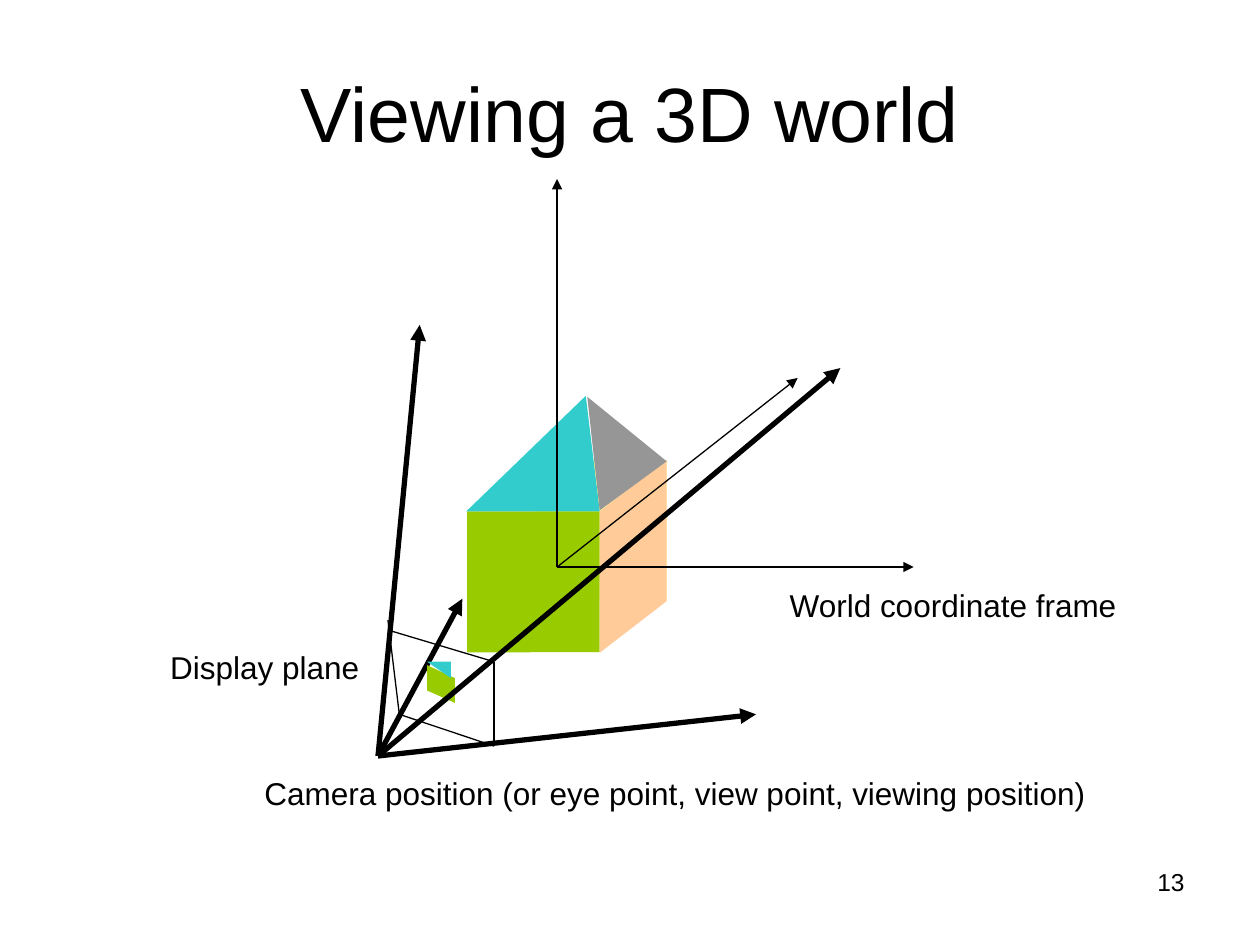
from pptx import Presentation
from pptx.dml.color import RGBColor
from pptx.enum.shapes import MSO_CONNECTOR, MSO_SHAPE
from pptx.enum.text import MSO_ANCHOR, PP_ALIGN
from pptx.oxml.ns import qn
from pptx.util import Cm, Pt
from lxml.etree import SubElement

THEME = {
    "font": "Arial", "title": 44, "label": 18, "number": 14,
    "thick": 3, "thin": 0.75,
    "ink": "000000", "cream": "FFFF99", "green": "99CC00",
    "peach": "FFCC99", "teal": "33CCCC", "gray": "969696",
}

TITLE = ("Viewing a 3D world", (1.27, 0.76, 22.86, 3.18))
LABELS = [
    ("Camera position (or eye point, view point, viewing position)",
     (5.08, 15.47, 17.07, 1.02)),
    ("Display plane", (3.18, 12.93, 4.32, 1.02)),
    ("World coordinate frame", (15.67, 11.68, 7.11, 1.02)),
]
NUMBER = ("13", (18.21, 17.35, 5.92, 1.32))

WALLS = [
    ("cream", (10.77, 9.27, 2.67, 2.84)),
    ("green", (9.42, 10.31, 2.67, 2.84)),
]
HOUSE = [
    ("peach", [(12.09, 10.31), (13.44, 9.27), (13.44, 12.12), (12.09, 13.16)]),
    ("teal", [(9.4, 10.31), (11.81, 7.98), (12.09, 10.31)]),
    ("gray", [(12.09, 10.29), (11.84, 8), (13.44, 9.3)]),
]
IMAGE = [
    ("green", [(8.61, 13.41), (9.17, 13.67), (9.17, 14.17), (8.61, 13.92)]),
    ("teal", [(8.61, 13.34), (9.09, 13.34), (9.09, 13.67)]),
]

CAMERA = (7.62, 15.24)
AXES = [(8.46, 6.55), (15.24, 14.4), (9.32, 12.07)]
SIGHT = (16.94, 7.42)
PLANE = [(7.82, 12.5), (8.05, 14.4), (9.96, 15.04), (9.96, 13.34), (7.82, 12.7)]
WORLD = (11.23, 11.43)
FRAME = [(18.42, 11.43), (16.08, 7.62), (11.23, 3.61)]


def color(name):
    """Return a theme colour."""
    return RGBColor.from_string(THEME[name])


def write(shape, text, size="label", align=PP_ALIGN.LEFT, wrap=False,
          anchor=MSO_ANCHOR.TOP, space=1.0):
    """Put formatted text in a shape."""
    frame = shape.text_frame
    frame.word_wrap = wrap
    frame.vertical_anchor = anchor
    para = frame.paragraphs[0]
    para.alignment = align
    para.line_spacing = space
    run = para.add_run()
    run.text = text
    run.font.name = THEME["font"]
    run.font.size = Pt(THEME[size])
    run.font.color.rgb = color("ink")


def paint(shape, name):
    """Give a shape a flat fill without line or shadow."""
    shape.shadow.inherit = False
    shape.fill.solid()
    shape.fill.fore_color.rgb = color(name)
    shape.line.fill.background()


def face(shapes, name, points):
    """Draw a filled polygon."""
    first, *rest = [(Cm(x), Cm(y)) for x, y in points]
    build = shapes.build_freeform(*first)
    build.add_line_segments(rest, close=True)
    paint(build.convert_to_shape(), name)


def line(shapes, start, end, width="thin", arrow=True):
    """Draw a straight line or arrow."""
    link = shapes.add_connector(
        MSO_CONNECTOR.STRAIGHT, *[Cm(v) for v in start + end])
    link.line.color.rgb = color("ink")
    link.line.width = Pt(THEME[width])
    if arrow:
        SubElement(link.line._get_or_add_ln(), qn("a:tailEnd"), type="triangle")
    SubElement(link._element.spPr, qn("a:effectLst"))


def label(shapes, text, box, **style):
    """Add a text box."""
    write(shapes.add_textbox(*map(Cm, box)), text, **style)


def main():
    """Build the slide and save it."""
    deck = Presentation()
    deck.slide_width, deck.slide_height = Cm(25.4), Cm(19.05)
    shapes = deck.slides.add_slide(deck.slide_layouts[5]).shapes

    text, box = TITLE
    head = shapes.title
    head.left, head.top, head.width, head.height = map(Cm, box)
    write(head, text, size="title", align=PP_ALIGN.CENTER, wrap=True,
          anchor=MSO_ANCHOR.MIDDLE, space=0.95)

    for name, box in WALLS:
        wall = shapes.add_shape(MSO_SHAPE.ROUNDED_RECTANGLE, *map(Cm, box))
        wall.adjustments[0] = 0.002
        paint(wall, name)
    for name, points in HOUSE:
        face(shapes, name, points)
    for tip in AXES:
        line(shapes, CAMERA, tip, width="thick")
    for name, points in IMAGE:
        face(shapes, name, points)
    for start, end in zip(PLANE, PLANE[1:]):
        line(shapes, start, end, arrow=False)
    line(shapes, CAMERA, SIGHT, width="thick")
    for tip in FRAME:
        line(shapes, WORLD, tip)

    for text, box in LABELS:
        label(shapes, text, box)
    label(shapes, *NUMBER, size="number", align=PP_ALIGN.RIGHT, wrap=True)
    deck.save("out.pptx")


if __name__ == "__main__":
    main()
